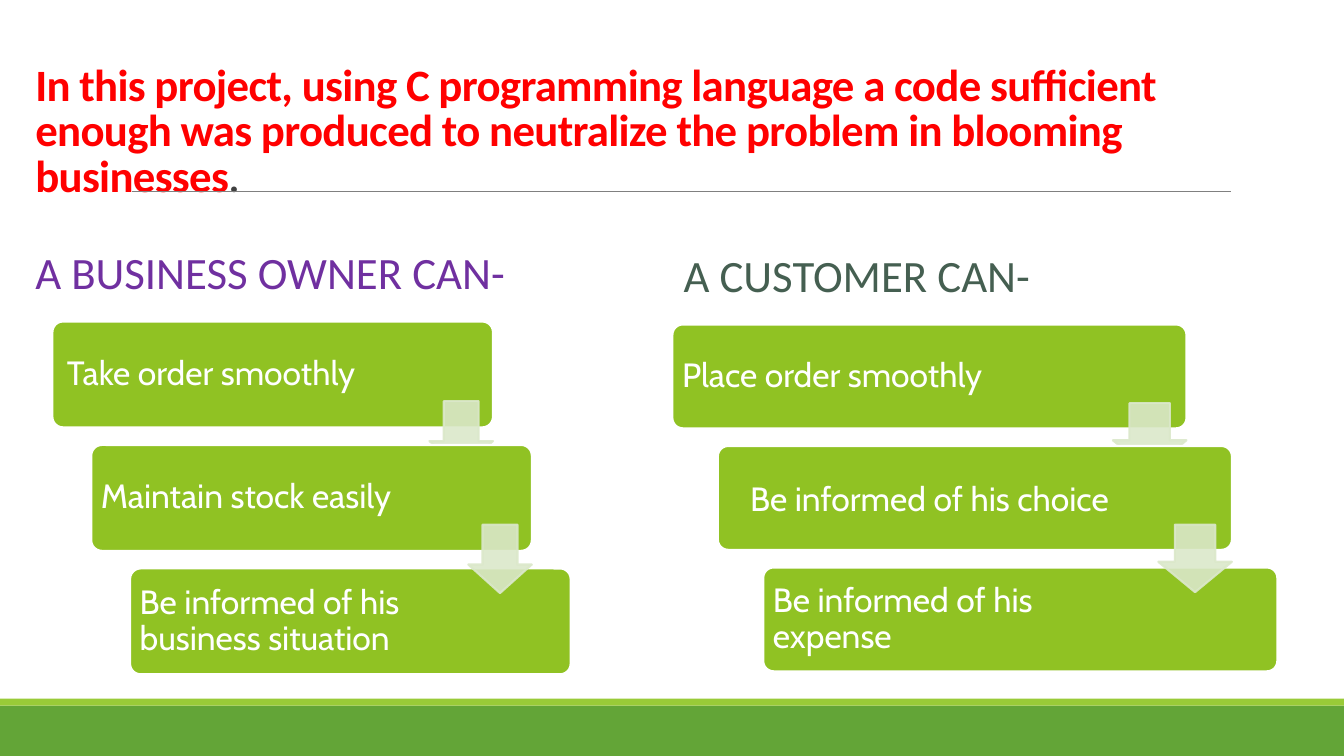
from dataclasses import dataclass

from lxml.etree import SubElement
from pptx import Presentation
from pptx.dml.color import RGBColor
from pptx.enum.shapes import MSO_CONNECTOR as Connector, MSO_SHAPE as Preset
from pptx.enum.text import MSO_ANCHOR as Anchor, MSO_AUTO_SIZE as AutoSize, PP_ALIGN as Align
from pptx.oxml.ns import qn
from pptx.shapes.autoshape import Shape
from pptx.shapes.shapetree import GroupShapes
from pptx.slide import Slide
from pptx.text.text import TextFrame, _Run as Run
from pptx.util import Inches, Pt

COLORS = {
    "bar": "63A537", "stripe": "99CB38", "rule": "808080",
    "title": "FF0000", "stop": "404040", "owner": "7030A0", "customer": "455F51",
    "card": "90C223", "arrow": "DBE8CA", "white": "FFFFFF",
}
SLIDE_WIDTH, SLIDE_HEIGHT = Inches(13.33), Inches(7.5)
# The grid has 100 columns and 100 rows.
COLUMN, ROW = SLIDE_WIDTH / 100, SLIDE_HEIGHT / 100
LABEL_LEFT, LABEL_TOP = 0.19, 0.4


@dataclass(frozen=True)
class Box:
    left: float
    top: float
    width: float
    height: float

    def emu(self) -> tuple[int, int, int, int]:
        return (round(self.left * COLUMN), round(self.top * ROW),
                round(self.width * COLUMN), round(self.height * ROW))


@dataclass(frozen=True)
class Step:
    text: str
    shift_columns: float = 0
    shift_rows: float = 0


@dataclass(frozen=True)
class Flow:
    heading: str
    color: str
    placeholder: int
    heading_box: Box
    first_card: Box
    step_columns: float
    step_rows: float
    label_width: float
    arrow_width: float
    arrow_height: float
    arrow_drop: float
    steps: tuple[Step, ...]

    def card(self, index: int) -> Box:
        first = self.first_card
        return Box(first.left + index * self.step_columns,
                   first.top + index * self.step_rows, first.width, first.height)

    def label(self, index: int) -> Box:
        card, step = self.card(index), self.steps[index]
        return Box(card.left + LABEL_LEFT + step.shift_columns,
                   card.top + LABEL_TOP + step.shift_rows,
                   self.label_width, card.height - 2 * LABEL_TOP)

    def arrow(self, index: int) -> Box:
        card = self.card(index)
        return Box(card.left + card.width - self.arrow_width,
                   card.top + self.arrow_drop, self.arrow_width, self.arrow_height)


FLOWS = (
    Flow("A BUSINESS OWNER CAN-", "owner", 1, Box(2.1, 28.53, 40.28, 11.6),
         Box(3.9, 42.53, 32.78, 14), 2.89, 16.33, 24.75, 4.73, 9.07, 10.53,
         (Step("Take order smoothly", 0.36), Step("Maintain stock easily"),
          Step("Be informed of his business situation"))),
    Flow("A CUSTOMER CAN-", "customer", 3, Box(50.33, 28.93, 40.28, 11.6),
         Box(50.03, 42.93, 38.25, 13.73), 3.38, 16.07, 28.95, 5.48, 8.93, 10.4,
         (Step("Place order smoothly"), Step("Be informed of his choice", 1.69, 0.4),
          Step("Be informed of his expense"))),
)


def rgb(name: str) -> RGBColor:
    return RGBColor.from_string(COLORS[name])


def add_preset(shapes: GroupShapes, preset: Preset, box: Box, fill: str,
               line: str | None = None) -> Shape:
    shape = shapes.add_shape(preset, *box.emu())
    shape.shadow.inherit = False
    shape.fill.solid()
    shape.fill.fore_color.rgb = rgb(fill)
    if line:
        shape.line.color.rgb = rgb(line)
        shape.line.width = Pt(1.5)
    else:
        shape.line.fill.background()
    return shape


def format_run(run: Run, font: str, size: float, color: str, bold: bool = False) -> None:
    run.font.name, run.font.size, run.font.bold = font, Pt(size), bold
    run.font.color.rgb = rgb(color)


def set_frame(frame: TextFrame, anchor: Anchor, spacing: float, side: float,
              edge: float) -> None:
    """Set wrapping, insets in inches and left-aligned paragraphs."""
    frame.word_wrap, frame.auto_size = True, AutoSize.NONE
    frame.vertical_anchor = anchor
    frame.margin_left = frame.margin_right = Inches(side)
    frame.margin_top = frame.margin_bottom = Inches(edge)
    for paragraph in frame.paragraphs:
        paragraph.alignment = Align.LEFT
        paragraph.line_spacing = spacing
        paragraph.space_before = Pt(0)


def place(shape: Shape, box: Box) -> None:
    shape.left, shape.top, shape.width, shape.height = box.emu()


def add_frame_art(slide: Slide) -> None:
    """Draw the bottom bars and the rule under the title."""
    add_preset(slide.shapes, Preset.RECTANGLE, Box(0, 93.33, 100, 6.67), "bar")
    add_preset(slide.shapes, Preset.RECTANGLE, Box(0, 92.4, 100, 0.93), "stripe")
    left, top, width, _ = Box(9.83, 25.33, 81.77, 0).emu()
    rule = slide.shapes.add_connector(Connector.STRAIGHT, left, top, left + width, top)
    rule.line.color.rgb = rgb("rule")
    rule.line.width = Pt(0.5)
    SubElement(rule._element.spPr, qn("a:effectLst"))


def fill_title(slide: Slide) -> None:
    title = slide.shapes.title
    place(title, Box(2.1, 8, 89.55, 18.27))
    paragraph = title.text_frame.paragraphs[0]
    paragraph.text = ("In this project, using C programming language a code sufficient "
                      "enough was produced to neutralize the problem in blooming businesses")
    stop = paragraph.add_run()
    stop.text = "."
    format_run(paragraph.runs[0], "Calibri", 32, "title", True)
    format_run(stop, "Calibri", 28, "stop", True)
    for run in paragraph.runs:
        run.font._element.set("spc", "-50")
    set_frame(title.text_frame, Anchor.TOP, 0.85, 0.07, 0.04)


def add_arrow(shapes: GroupShapes, box: Box) -> None:
    arrow = add_preset(shapes, Preset.DOWN_ARROW, box, "arrow", "arrow")
    arrow.adjustments[0], arrow.adjustments[1] = 0.55, 0.45
    for color in arrow._element.spPr.iter(qn("a:srgbClr")):
        SubElement(color, qn("a:alpha")).set("val", "89000")


def add_flow(slide: Slide, flow: Flow) -> None:
    heading = slide.placeholders[flow.placeholder]
    place(heading, flow.heading_box)
    heading.text_frame.text = flow.heading
    format_run(heading.text_frame.paragraphs[0].runs[0], "Calibri", 32, flow.color)
    set_frame(heading.text_frame, Anchor.BOTTOM, 0.9, 0.07, 0.04)

    shapes = slide.shapes.add_group_shape().shapes
    last = len(flow.steps) - 1
    # The last card lies at the back, under the arrow that points to it.
    for index in (last, *range(last)):
        card = add_preset(shapes, Preset.ROUNDED_RECTANGLE, flow.card(index), "card", "white")
        card.adjustments[0] = 0.1
        label = shapes.add_textbox(*flow.label(index).emu())
        label.text_frame.text = flow.steps[index].text
        format_run(label.text_frame.paragraphs[0].runs[0], "Cabin", 24, "white")
        set_frame(label.text_frame, Anchor.MIDDLE, 0.9, 0.07, 0.07)
        if index < last:
            add_arrow(shapes, flow.arrow(index))


def main() -> None:
    presentation = Presentation()
    presentation.slide_width, presentation.slide_height = SLIDE_WIDTH, SLIDE_HEIGHT
    slide = presentation.slides.add_slide(presentation.slide_layouts.get_by_name("Comparison"))
    add_frame_art(slide)
    fill_title(slide)
    for flow in FLOWS:
        add_flow(slide, flow)
    for placeholder in list(slide.placeholders):
        if not placeholder.text_frame.text:
            placeholder._element.getparent().remove(placeholder._element)
    presentation.save("out.pptx")


if __name__ == "__main__":
    main()
